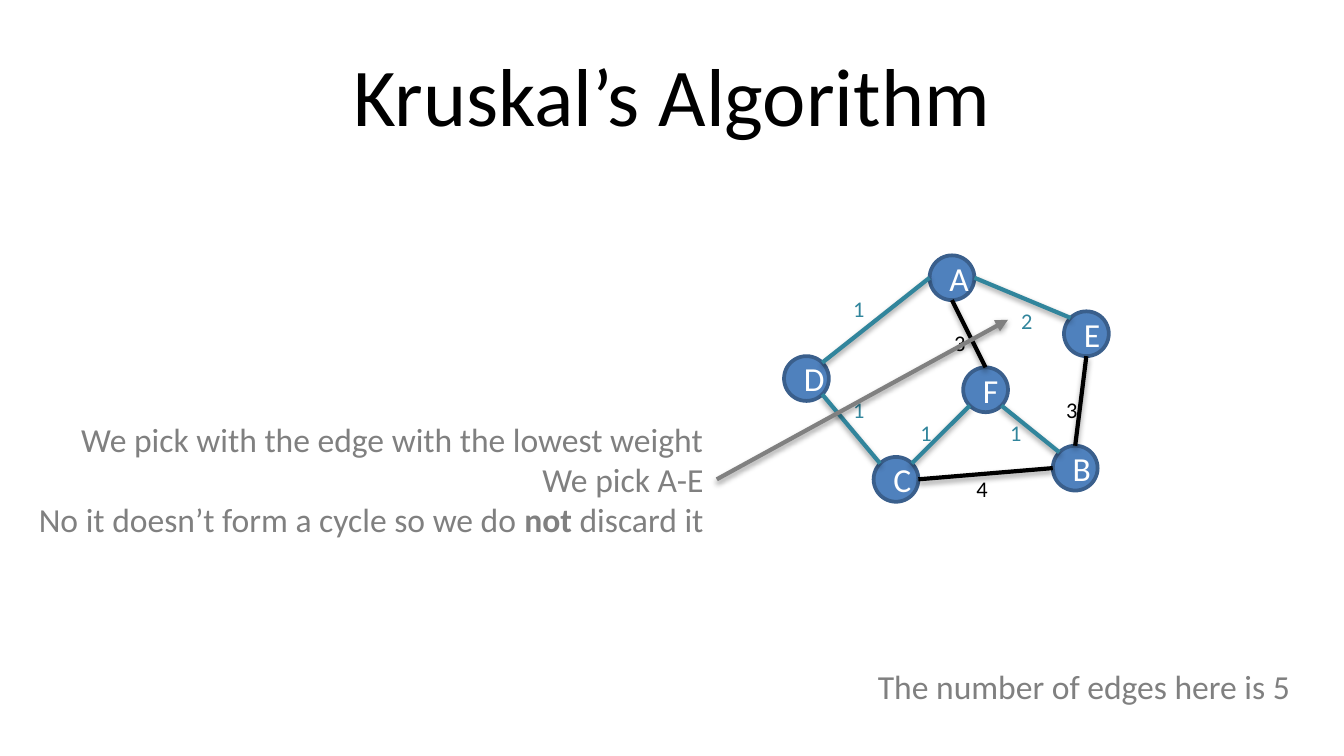
import math
from dataclasses import dataclass

from lxml import etree
from pptx import Presentation
from pptx.dml.color import RGBColor
from pptx.enum.shapes import MSO_CONNECTOR, MSO_SHAPE
from pptx.enum.text import MSO_ANCHOR, MSO_AUTO_SIZE, PP_ALIGN
from pptx.oxml import parse_xml
from pptx.oxml.ns import nsdecls, qn
from pptx.util import Inches, Pt

STRAIGHT, OVAL = MSO_CONNECTOR.STRAIGHT, MSO_SHAPE.OVAL
MIDDLE, TOP = MSO_ANCHOR.MIDDLE, MSO_ANCHOR.TOP
GROW, FIXED = MSO_AUTO_SIZE.SHAPE_TO_FIT_TEXT, MSO_AUTO_SIZE.NONE
LEFT, CENTER, RIGHT = PP_ALIGN.LEFT, PP_ALIGN.CENTER, PP_ALIGN.RIGHT


@dataclass(frozen=True)
class Theme:
    font: str = "Calibri"
    ink: str = "000000"
    picked: str = "31859C"
    note: str = "808080"
    node_fill: str = "4F81BD"
    node_line: str = "3A5F8C"
    node_text: str = "FFFFFF"
    title_size: int = 44
    body_size: int = 18
    weight_size: int = 12
    node_border: float = 2
    edge_width: float = 2.25


THEME = Theme()

# The slide is 120 columns by 67.5 rows of square cells.
COLUMNS, ROWS = 120, 67.5
CELL = 1 / 12
GRAPH_TOP = 22.8
NODE_SIZE = 4

# Column, and row below the top of the graph
NODES = {"A": (83, 0), "C": (78, 18), "B": (94, 17),
         "D": (70, 9), "E": (95, 5), "F": (86, 10)}
# From node and side, to node and side, picked by the algorithm
EDGES = [
    ("A", "W", "D", "NE", True), ("C", "NW", "D", "SE", True),
    ("C", "NE", "F", "SW", True), ("B", "NW", "F", "SE", True),
    ("E", "S", "B", "N", False), ("E", "NW", "A", "E", True),
    ("B", "W", "C", "E", False), ("A", "S", "F", "N", False),
]
# Weight, column, row below the top of the graph, picked
WEIGHTS = [
    ("1", 75, 3, True), ("1", 75, 12, True), ("3", 84, 6, False),
    ("2", 90, 4, True), ("3", 94, 12, False), ("4", 86, 19, False),
    ("1", 81, 14, True), ("1", 89, 14, True),
]
SIDES = ["E", "SE", "S", "SW", "W", "NW", "N", "NE"]
STEPS = [
    [("We pick with the edge with the lowest weight", False)],
    [("We pick A-E", False)],
    [("No it doesn’t form a cycle so we do ", False), ("not", True),
     (" discard it", False)],
]


def cells(*counts):
    return [Inches(count * CELL) for count in counts]


def rgb(code):
    return RGBColor.from_string(code)


def edge_color(picked):
    return THEME.picked if picked else THEME.ink


def set_all(target, values):
    for name, value in values.items():
        setattr(target, name, value)


def write(frame, paragraphs, size, color, align):
    """Fill a text frame with paragraphs, each a list of (text, bold) runs."""
    for index, runs in enumerate(paragraphs):
        paragraph = frame.add_paragraph() if index else frame.paragraphs[0]
        paragraph.alignment = align
        for text, bold in runs:
            run = paragraph.add_run()
            run.text = text
            set_all(run.font, {"name": THEME.font, "size": Pt(size), "bold": bold})
            run.font.color.rgb = rgb(color)


def add_text(slide, box, paragraphs, size, color, align=LEFT, **frame_format):
    frame = slide.shapes.add_textbox(*cells(*box)).text_frame
    set_all(frame, {"word_wrap": False, "auto_size": GROW,
                    "vertical_anchor": TOP, **frame_format})
    write(frame, paragraphs, size, color, align)


def add_node(slide, letter, column, row):
    node = slide.shapes.add_shape(
        OVAL, *cells(column, GRAPH_TOP + row, NODE_SIZE, NODE_SIZE))
    node.shadow.inherit = False
    node.fill.solid()
    node.fill.fore_color.rgb = rgb(THEME.node_fill)
    node.line.color.rgb = rgb(THEME.node_line)
    node.line.width = Pt(THEME.node_border)
    set_all(node.text_frame, {"word_wrap": True, "vertical_anchor": MIDDLE})
    write(node.text_frame, [[(letter, False)]], THEME.body_size,
          THEME.node_text, CENTER)


def node_side(letter, side):
    """Point on the rim of a node, in cells."""
    column, row = NODES[letter]
    angle = SIDES.index(side) * math.pi / 4
    radius = NODE_SIZE / 2
    return (column + radius * (1 + math.cos(angle)),
            GRAPH_TOP + row + radius * (1 + math.sin(angle)))


def add_line(slide, start, end, color, arrow=False):
    """Draw a line with a soft shadow below it."""
    connector = slide.shapes.add_connector(STRAIGHT, *cells(*start, *end))
    connector.line.color.rgb = rgb(color)
    connector.line.width = Pt(THEME.edge_width)
    properties = connector._element.spPr
    if arrow:
        outline = properties.find(qn("a:ln"))
        etree.SubElement(outline, qn("a:tailEnd"), type="triangle")
    properties.append(parse_xml(
        f'<a:effectLst {nsdecls("a")}>'
        f'<a:outerShdw blurRad="{Pt(3.1)}" dist="{Pt(1.6)}" dir="5400000" '
        'rotWithShape="0"><a:srgbClr val="000000"><a:alpha val="38000"/>'
        '</a:srgbClr></a:outerShdw></a:effectLst>'))


def add_graph(slide):
    for letter, (column, row) in NODES.items():
        add_node(slide, letter, column, row)
    for start, start_side, end, end_side, picked in EDGES:
        add_line(slide, node_side(start, start_side), node_side(end, end_side),
                 edge_color(picked))
    for weight, column, row, picked in WEIGHTS:
        add_text(slide, (column, GRAPH_TOP + row, 3.5, 3.6), [[(weight, False)]],
                 THEME.weight_size, edge_color(picked))


def main():
    presentation = Presentation()
    width, height = cells(COLUMNS, ROWS)
    set_all(presentation, {"slide_width": width, "slide_height": height})
    slide = presentation.slides.add_slide(presentation.slide_layouts[6])

    add_text(slide, (6, 2.7, COLUMNS - 12, 11.25),
             [[("Kruskal’s Algorithm", False)]], THEME.title_size, THEME.ink,
             CENTER, word_wrap=True, auto_size=FIXED, vertical_anchor=MIDDLE)
    add_graph(slide)
    add_text(slide, (1, GRAPH_TOP + 14, 63, 12.1), STEPS, THEME.body_size,
             THEME.note, RIGHT, word_wrap=True)
    add_line(slide, (64, GRAPH_TOP + 20), (90, GRAPH_TOP + 5.75), THEME.note,
             arrow=True)
    add_text(slide, (77.2, 58.9, 39.7, 4.8),
             [[("The number of edges here is 5", False)]],
             THEME.body_size, THEME.note)
    presentation.save("out.pptx")


if __name__ == "__main__":
    main()
